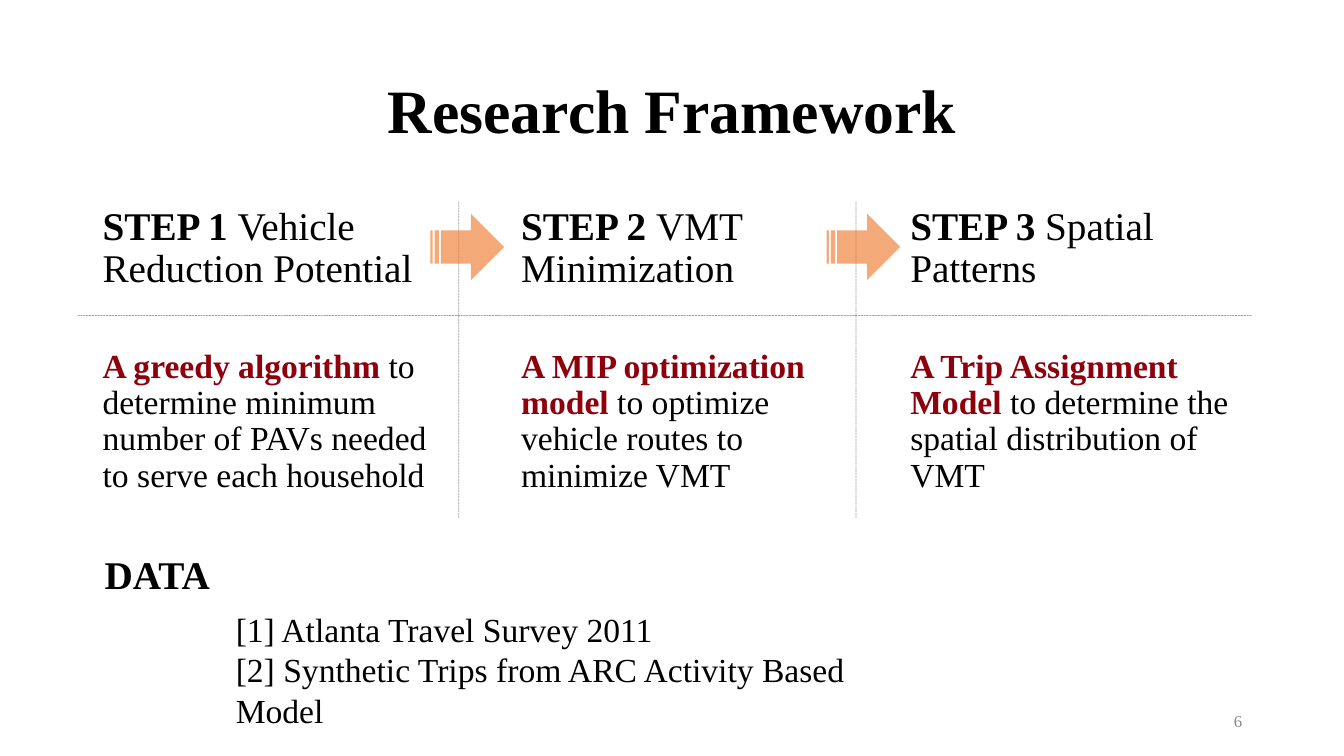
from lxml import etree
from pptx import Presentation
from pptx.dml.color import RGBColor
from pptx.enum.dml import MSO_LINE
from pptx.enum.shapes import MSO_CONNECTOR, MSO_SHAPE
from pptx.enum.text import MSO_ANCHOR, PP_ALIGN
from pptx.oxml.ns import qn
from pptx.util import Inches, Pt

STRAIGHT = MSO_CONNECTOR.STRAIGHT
STRIPED_ARROW = MSO_SHAPE.STRIPED_RIGHT_ARROW
DASH = MSO_LINE.SQUARE_DOT
TOP, MIDDLE = MSO_ANCHOR.TOP, MSO_ANCHOR.MIDDLE
LEFT, CENTER, RIGHT = PP_ALIGN.LEFT, PP_ALIGN.CENTER, PP_ALIGN.RIGHT

FONT = "Times New Roman"
COLORS = {"text": "000000", "accent": "8D000C", "arrow": "ED7D31",
          "divider": "595959", "number": "8C8C8C"}


class SlideBuilder:
    def __init__(self, slide):
        self.s = slide

    def color(self, name):
        return RGBColor.from_string(COLORS[name])

    def set_alpha(self, sp, percent):
        """Make the solid colour of a fill or line partly transparent."""
        clr = next(sp._element.spPr.iter(qn("a:srgbClr")))
        etree.SubElement(clr, qn("a:alpha")).set("val", str(percent * 1000))

    def textbox(self, x, y, w, h, anchor=TOP):
        tf = self.s.shapes.add_textbox(
            Inches(x), Inches(y), Inches(w), Inches(h)).text_frame
        tf.word_wrap = True
        tf.vertical_anchor = anchor
        return tf

    def style(self, p, size, color="text", bold=False, align=LEFT):
        p.alignment = align
        p.font.name = FONT
        p.font.size = Pt(size)
        p.font.bold = bold
        p.font.color.rgb = self.color(color)

    def text(self, box, lines, size, anchor=TOP, spacing=1.0, **style):
        tf = self.textbox(*box, anchor=anchor)
        for i, line in enumerate(lines):
            p = tf.add_paragraph() if i else tf.paragraphs[0]
            p.text = line
            p.line_spacing = spacing
            self.style(p, size, **style)

    def lead_paragraph(self, p, lead, rest, size, lead_color):
        """Bold lead words followed by plain text."""
        p.line_spacing = 0.9
        self.style(p, size)
        r = p.add_run()
        r.text = lead
        r.font.bold = True
        r.font.color.rgb = self.color(lead_color)
        p.add_run().text = rest

    def step(self, x, w, heading, method):
        tf = self.textbox(x, 2, w, 4.76)
        self.lead_paragraph(tf.paragraphs[0], *heading, 28, "text")
        p = tf.add_paragraph()
        self.lead_paragraph(p, *method, 24, "accent")
        p.space_before = Pt(41.5)

    def divider(self, x1, y1, x2, y2):
        c = self.s.shapes.add_connector(
            STRAIGHT, Inches(x1), Inches(y1), Inches(x2), Inches(y2))
        c.line.color.rgb = self.color("divider")
        c.line.width = Pt(0.5)
        c.line.dash_style = DASH
        self.set_alpha(c, 55)
        etree.SubElement(c._element.spPr, qn("a:effectLst"))

    def arrow(self, x, y):
        sp = self.s.shapes.add_shape(
            STRIPED_ARROW, Inches(x), Inches(y), Inches(0.73), Inches(0.66))
        sp.shadow.inherit = False
        sp.fill.solid()
        sp.fill.fore_color.rgb = self.color("arrow")
        sp.line.fill.background()
        self.set_alpha(sp, 65)


STEPS = [
    (0.92, 3.63, ("STEP 1 ", "Vehicle Reduction Potential"),
     ("A greedy algorithm ",
      "to determine minimum number of PAVs needed to serve each household")),
    (5.07, 3.6, ("STEP 2 ", "VMT Minimization"),
     ("A MIP optimization model ",
      "to optimize vehicle routes to minimize VMT")),
    (8.93, 3.6, ("STEP 3 ", "Spatial Patterns"),
     ("A Trip Assignment Model ",
      "to determine the spatial distribution of VMT")),
]


def main():
    prs = Presentation()
    prs.slide_width, prs.slide_height = Inches(13.33), Inches(7.5)
    b = SlideBuilder(prs.slides.add_slide(prs.slide_layouts[6]))

    # Title and slide number
    b.text((0.92, 0.4, 11.5, 1.45), ["Research Framework"], 44,
           anchor=MIDDLE, spacing=0.9, bold=True, align=CENTER)
    b.text((9.42, 6.95, 3, 0.4), ["6"], 12,
           anchor=MIDDLE, color="number", align=RIGHT)

    # Three steps
    for step in STEPS:
        b.step(*step)

    # Dividers, then the arrows across them
    b.divider(0.77, 3.13, 12.42, 3.13)
    for x in (4.55, 8.49):
        b.divider(x, 5.14, x, 2)
    for x in (4.27, 8.2):
        b.arrow(x, 2.12)

    # Data sources
    b.text((2.24, 5.99, 7.17, 0.91),
           ["[1] Atlanta Travel Survey 2011",
            "[2] Synthetic Trips from ARC Activity Based Model"], 24)
    b.text((0.94, 5.41, 3.99, 0.57), ["DATA"], 28, bold=True)

    prs.save("out.pptx")


if __name__ == "__main__":
    main()
